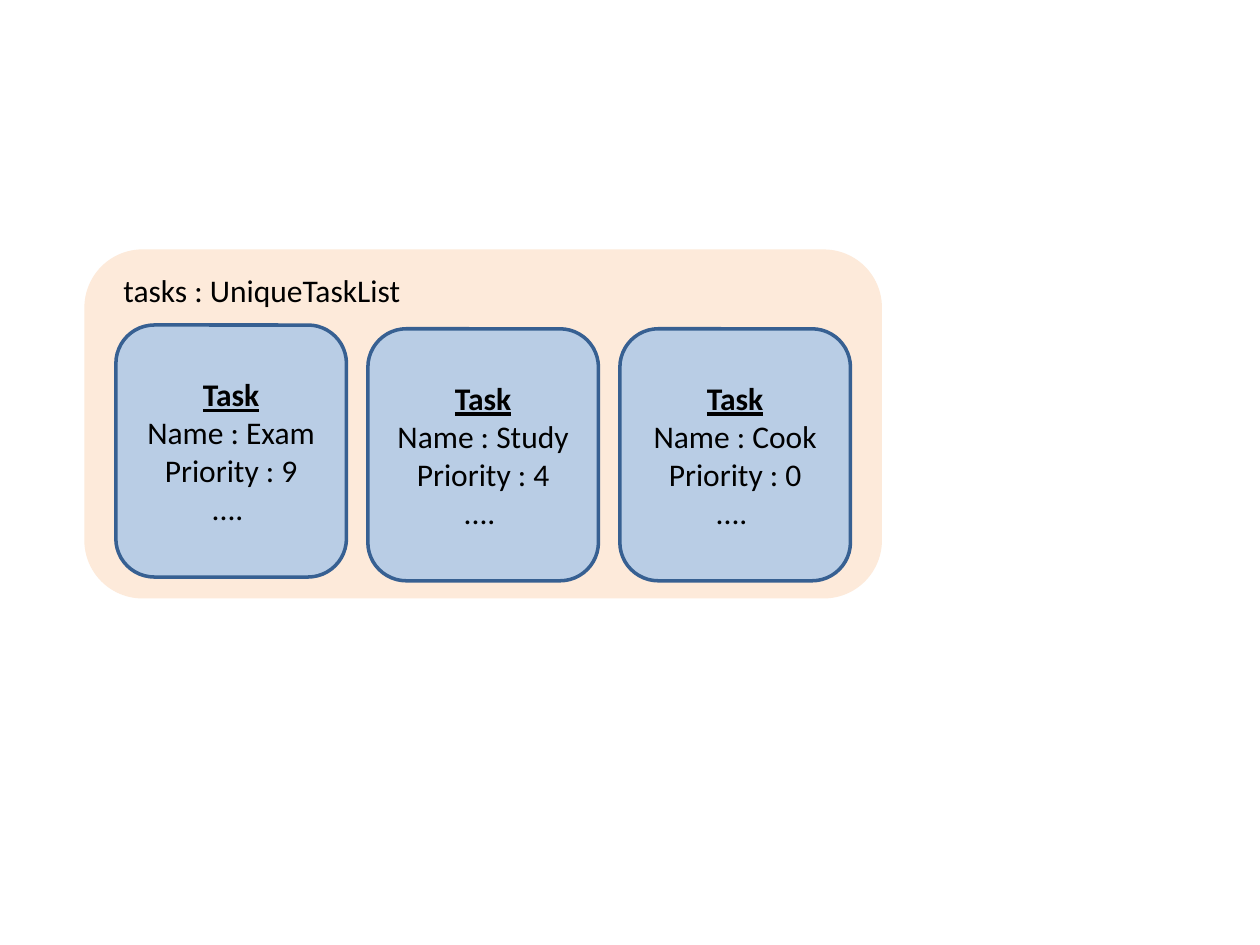
"""Build a slide showing a unique task list holding three tasks."""
from dataclasses import dataclass

from pptx import Presentation
from pptx import util as u
from pptx.dml.color import RGBColor
from pptx.enum import shapes, text

PEACH = RGBColor(0xFD, 0xEA, 0xDA)
LIGHT_BLUE = RGBColor(0xB9, 0xCD, 0xE5)
DARK_BLUE = RGBColor(0x37, 0x60, 0x92)
BLACK = RGBColor(0, 0, 0)

FIRST_TASK_LEFT = 0.92
TASK_PITCH = 2


@dataclass(frozen=True)
class Task:
    name: str
    priority: int
    top: float


TASKS = [Task("Exam", 9, 2.58), Task("Study", 4, 2.61), Task("Cook", 0, 2.61)]


def format_text(paragraph) -> None:
    for run in paragraph.runs:
        run.font.name = "Calibri"
        run.font.size = u.Pt(18)
        run.font.color.rgb = BLACK


def add_rounded_box(slide, left: float, top: float, width: float, height: float, fill: RGBColor):
    shape = slide.shapes.add_shape(
        shapes.MSO_SHAPE.ROUNDED_RECTANGLE,
        u.Inches(left), u.Inches(top), u.Inches(width), u.Inches(height),
    )
    shape.shadow.inherit = False
    shape.fill.solid()
    shape.fill.fore_color.rgb = fill
    shape.line.fill.background()
    return shape


def add_list_title(slide, title: str) -> None:
    shape = slide.shapes.add_textbox(u.Inches(0.83), u.Inches(2.1), u.Inches(2.5), u.Inches(0.4))
    text_frame = shape.text_frame
    text_frame.word_wrap = True
    text_frame.auto_size = text.MSO_AUTO_SIZE.SHAPE_TO_FIT_TEXT
    text_frame.margin_left = u.Inches(0.15)
    text_frame.text = title
    format_text(text_frame.paragraphs[0])


def add_task(slide, task: Task, left: float) -> None:
    shape = add_rounded_box(slide, left, task.top, 1.83, 2, LIGHT_BLUE)
    shape.line.color.rgb = DARK_BLUE
    shape.line.width = u.Pt(2)
    text_frame = shape.text_frame
    text_frame.vertical_anchor = text.MSO_ANCHOR.MIDDLE
    text_frame.text = f"Task\nName : {task.name}\nPriority : {task.priority}\n.... "
    for paragraph in text_frame.paragraphs:
        paragraph.alignment = text.PP_ALIGN.CENTER
        format_text(paragraph)
    heading = text_frame.paragraphs[0].runs[0].font
    heading.bold = True
    heading.underline = True


def main() -> None:
    presentation = Presentation()
    presentation.slide_width = u.Inches(10)
    presentation.slide_height = u.Inches(7.5)
    slide = presentation.slides.add_slide(presentation.slide_layouts[6])
    add_rounded_box(slide, 0.67, 1.98, 6.33, 2.77, PEACH)
    add_list_title(slide, "tasks : UniqueTaskList")
    for index, task in enumerate(TASKS):
        add_task(slide, task, FIRST_TASK_LEFT + index * TASK_PITCH)
    presentation.save("out.pptx")


if __name__ == "__main__":
    main()
